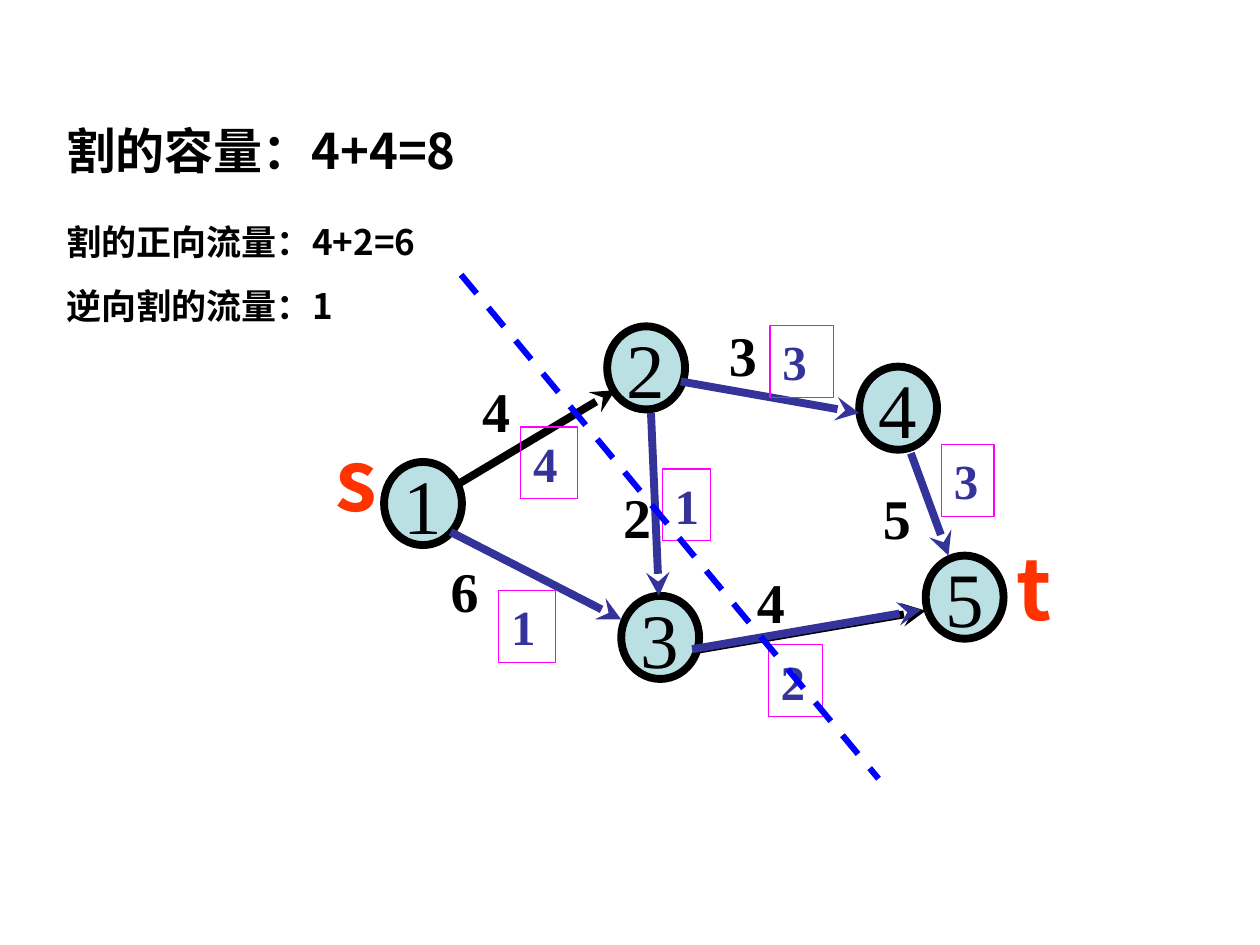
import pptx
import pptx.util
import pptx.dml.color
import pptx.enum.dml
import pptx.enum.shapes
import pptx.enum.text
import pptx.oxml.ns
from dataclasses import dataclass

Pt = pptx.util.Pt
Shape = pptx.enum.shapes.MSO_SHAPE
AutoSize = pptx.enum.text.MSO_AUTO_SIZE
Anchor = pptx.enum.text.MSO_ANCHOR
Align = pptx.enum.text.PP_ALIGN


@dataclass(frozen=True)
class Theme:
    ink: str = "000000"
    flow: str = "333399"
    flow_box: str = "FF00FF"
    node: str = "BBE0E3"
    terminal: str = "FF3300"
    cut: str = "0000FF"
    serif: str = "Times New Roman"
    sans: str = "Noto Sans CJK SC"
    heading_size: float = 28
    body_size: float = 20
    capacity_size: float = 32
    flow_size: float = 28
    node_size: float = 44
    terminal_size: float = 48
    edge_width: float = 4.5
    cut_width: float = 3.5
    box_width: float = 0.75


def rgb(value):
    return pptx.dml.color.RGBColor.from_string(value)


def add_xml(parent, tag, **attrs):
    parent.append(parent.makeelement(pptx.oxml.ns.qn(tag), attrs))


class Diagram:
    def __init__(self, slide, theme):
        self.s = slide
        self.t = theme

    def set_text(self, sp, lines, size, font, color, bold=True,
                 align=Align.LEFT, **frame):
        """Fill a shape's text frame; frame holds overriding frame values."""
        tf = sp.text_frame
        values = dict(word_wrap=True, vertical_anchor=Anchor.TOP,
                      auto_size=AutoSize.SHAPE_TO_FIT_TEXT,
                      margin_left=Pt(7.2), margin_right=Pt(7.2),
                      margin_top=Pt(3.6), margin_bottom=Pt(3.6))
        for name, value in (values | frame).items():
            setattr(tf, name, value)
        for i, line in enumerate(lines):
            p = tf.add_paragraph() if i else tf.paragraphs[0]
            p.alignment, p.line_spacing = align, 1.0
            p.space_before = Pt(size * 0.625 if align == Align.LEFT else 0)
            r = p.add_run()
            r.text = line
            for name, value in dict(size=Pt(size), name=font, bold=bold).items():
                setattr(r.font, name, value)
            r.font.color.rgb = rgb(color)
            add_xml(r.font._element, "a:ea", typeface=font)

    def title(self, text, x, y, w, h):
        sp = self.s.shapes.title
        for name, value in dict(left=x, top=y, width=w, height=h).items():
            setattr(sp, name, Pt(value))
        self.set_text(sp, [text], self.t.heading_size, self.t.sans, self.t.ink)

    def text(self, lines, x, y, w, h, size, font, color):
        sp = self.s.shapes.add_textbox(Pt(x), Pt(y), Pt(w), Pt(h))
        self.set_text(sp, lines, size, font, color)

    def shape(self, kind, x, y, w, h, line, width, fill=None):
        sp = self.s.shapes.add_shape(kind, Pt(x), Pt(y), Pt(w), Pt(h))
        sp.shadow.inherit = False
        if fill:
            sp.fill.solid()
            sp.fill.fore_color.rgb = rgb(fill)
        else:
            sp.fill.background()
        sp.line.color.rgb = rgb(line)
        sp.line.width = Pt(width)
        return sp

    def node(self, label, x, y):
        t = self.t
        sp = self.shape(Shape.OVAL, x, y, 44.5, 47.5, t.ink, t.edge_width, t.node)
        self.set_text(sp, [label], t.node_size, t.serif, t.ink, bold=False,
                      align=Align.CENTER, word_wrap=False,
                      vertical_anchor=Anchor.MIDDLE, auto_size=AutoSize.NONE)

    def flow(self, label, x, y, w):
        t = self.t
        sp = self.shape(Shape.RECTANGLE, x, y, w, 41, t.flow_box, t.box_width)
        self.set_text(sp, [label], t.flow_size, t.serif, t.flow)

    def line(self, x1, y1, x2, y2, color, width, arrow=True):
        c = self.s.shapes.add_connector(
            pptx.enum.shapes.MSO_CONNECTOR.STRAIGHT, Pt(x1), Pt(y1), Pt(x2), Pt(y2))
        c.line.color.rgb = rgb(color)
        c.line.width = Pt(width)
        if arrow:
            add_xml(c._element.spPr.find(pptx.oxml.ns.qn("a:ln")),
                    "a:tailEnd", type="stealth")
        else:
            c.line.dash_style = pptx.enum.dml.MSO_LINE.DASH
        add_xml(c._element.spPr, "a:effectLst")


def main():
    prs = pptx.Presentation()
    prs.slide_width, prs.slide_height = Pt(720), Pt(540)
    t = Theme()
    d = Diagram(prs.slides.add_slide(prs.slide_layouts[5]), t)

    # Capacity and flow of the cut
    d.title("割的容量：4+4=8", 31, 65.5, 266.5, 41)
    d.text(["割的正向流量：4+2=6", "逆向割的流量：1"], 31, 122.5, 255, 67.5,
           t.body_size, t.sans, t.ink)

    # Dark edge beneath the flow from node 3 to node 5
    d.line(397.5, 371.5, 529, 349, t.ink, t.edge_width)

    # Nodes
    for label, x, y in [("1", 219.5, 264), ("2", 347, 186.5), ("4", 491, 209.5),
                        ("3", 355, 340.5), ("5", 529, 317.5)]:
        d.node(label, x, y)

    # Edges
    for *ends, color in [
            (262, 276.5, 351.5, 223, t.ink),
            (257.5, 304, 355, 354, t.flow),
            (389, 218, 491, 236, t.flow),
            (520.5, 259, 542, 317.5, t.flow),
            (372, 236, 376.5, 340.5, t.flow),
            (395.5, 371, 526.5, 348.5, t.flow)]:
        d.line(*ends, color, t.edge_width)

    # Edge capacities
    for label, x, y in [("6", 250.5, 314.5), ("4", 268.5, 211.5),
                        ("3", 409.5, 179.5), ("4", 425.5, 320.5),
                        ("5", 497.5, 273), ("2", 349, 272)]:
        d.text([label], x, y, 25, 46, t.capacity_size, t.serif, t.ink)

    # Edge flows
    for label, x, y, w in [("4", 297.5, 244, 32.5), ("1", 378.5, 268, 27.5),
                           ("2", 439, 368.5, 31), ("3", 440, 186, 36.5),
                           ("3", 538, 254, 30), ("1", 285, 337.5, 32.5)]:
        d.flow(label, x, y, w)

    # Source and sink
    for label, x, y in [("s", 184.5, 241), ("t", 574, 303)]:
        d.text([label], x, y, 35, 65, t.terminal_size, t.sans, t.terminal)

    # Cut
    d.line(263.5, 157, 502, 445, t.cut, t.cut_width, arrow=False)

    prs.save("out.pptx")


if __name__ == "__main__":
    main()
